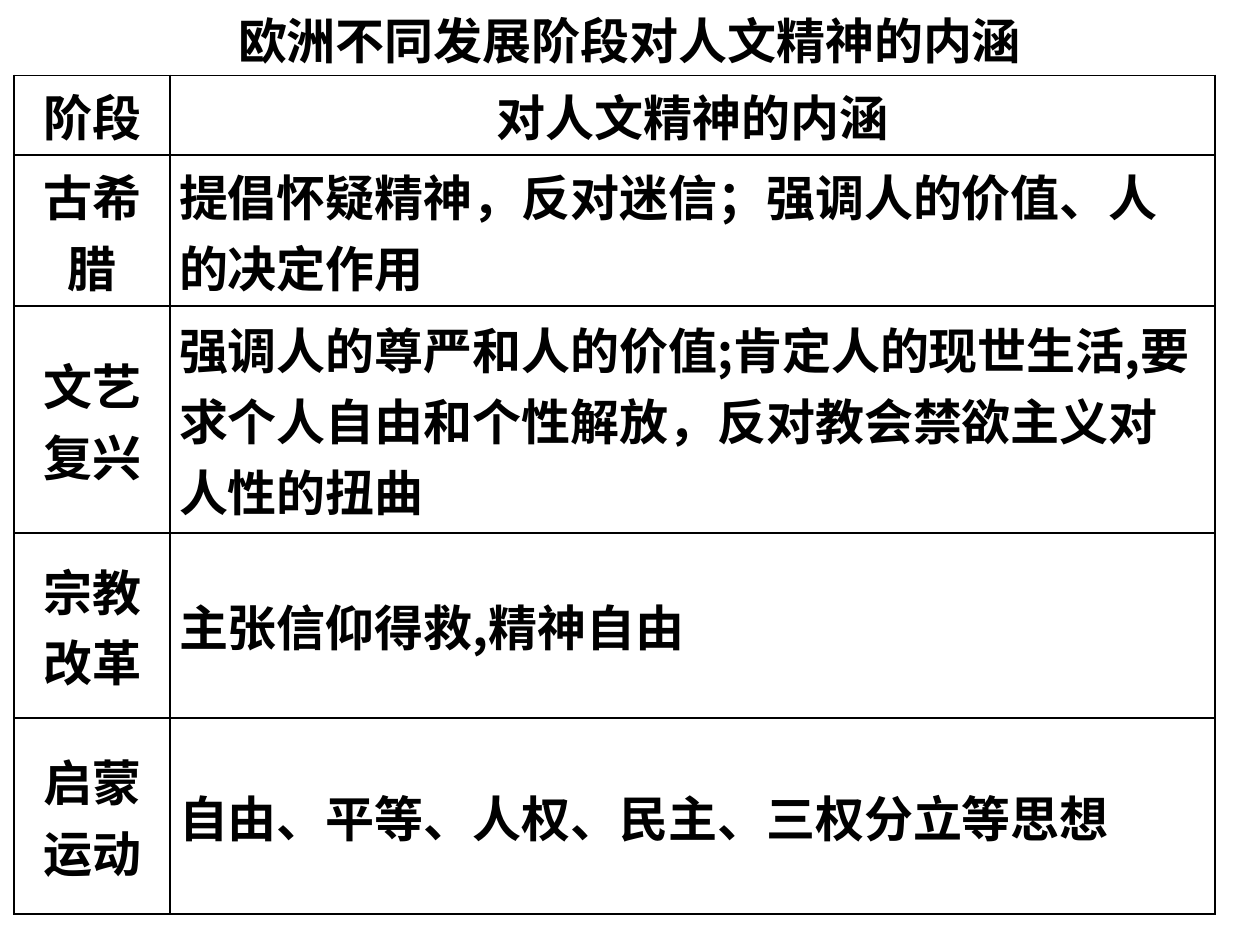
"""Build a slide with a table on the humanist spirit in stages of European history."""
from lxml import etree
from pptx import Presentation
from pptx import util as u
from pptx.dml.color import RGBColor
from pptx.enum import lang, text
from pptx.oxml import ns

COLOURS = {"text": "000000", "border": "000000", "background": "FFFFFF"}
CJK_FONT = "Noto Sans CJK SC"
FONT_FORMAT = {
    "size": u.Pt(28),
    "bold": True,
    "language_id": lang.MSO_LANGUAGE_ID.SIMPLIFIED_CHINESE,
}
CELL_FORMAT = {
    "margin_left": u.Cm(0.18),
    "margin_right": u.Cm(0.18),
    "margin_top": 0,
    "margin_bottom": 0,
    "vertical_anchor": text.MSO_ANCHOR.MIDDLE,
}
TITLE_FORMAT = {**CELL_FORMAT, "word_wrap": True}
TITLE_RUNS = [("欧洲不同发展阶段对人文精神的", "Arial"), ("内涵", CJK_FONT)]
COLUMN_WIDTHS = [3.15, 21.06]
ROWS = [
    (1.6, "阶段", "对人文精神的内涵"),
    (3.05, "古希腊", "提倡怀疑精神，反对迷信；强调人的价值、人的决定作用"),
    (4.57, "文艺复兴", "强调人的尊严和人的价值;肯定人的现世生活,要求个人自由和个性解放，反对教会禁欲主义对人性的扭曲"),
    (3.73, "宗教改革", "主张信仰得救,精神自由"),
    (3.96, "启蒙运动", "自由、平等、人权、民主、三权分立等思想"),
]


def add_run(paragraph, wording, font_name):
    run = paragraph.add_run()
    run.text = wording
    for name, value in FONT_FORMAT.items():
        setattr(run.font, name, value)
    run.font.name = font_name
    run.font.color.rgb = RGBColor.from_string(COLOURS["text"])
    etree.SubElement(run.font._element, ns.qn("a:ea"), typeface=CJK_FONT)


def add_borders(cell):
    properties = cell._tc.get_or_add_tcPr()
    for position, side in enumerate(("a:lnL", "a:lnR", "a:lnT", "a:lnB")):
        line = etree.Element(ns.qn(side), w=str(u.Pt(1)))
        fill = etree.SubElement(line, ns.qn("a:solidFill"))
        etree.SubElement(fill, ns.qn("a:srgbClr"), val=COLOURS["border"])
        properties.insert(position, line)


presentation = Presentation()
presentation.slide_width = u.Cm(25.4)
presentation.slide_height = u.Cm(19.05)
slide = presentation.slides.add_slide(presentation.slide_layouts[6])
slide.background.fill.solid()
slide.background.fill.fore_color.rgb = RGBColor.from_string(COLOURS["background"])

title = slide.shapes.add_textbox(u.Cm(0.23), u.Cm(0.08), u.Cm(24.92), u.Cm(1.45))
for name, value in TITLE_FORMAT.items():
    setattr(title.text_frame, name, value)
title_paragraph = title.text_frame.paragraphs[0]
title_paragraph.alignment = text.PP_ALIGN.CENTER
for wording, font_name in TITLE_RUNS:
    add_run(title_paragraph, wording, font_name)

table = slide.shapes.add_table(
    len(ROWS), len(COLUMN_WIDTHS), u.Cm(0.28), u.Cm(1.52),
    u.Cm(sum(COLUMN_WIDTHS)), u.Cm(sum(row[0] for row in ROWS)),
).table
table.first_row = False
table.horz_banding = False
for column, width in zip(table.columns, COLUMN_WIDTHS):
    column.width = u.Cm(width)

for row_index, (height, *wordings) in enumerate(ROWS):
    table.rows[row_index].height = u.Cm(height)
    for column_index, wording in enumerate(wordings):
        cell = table.cell(row_index, column_index)
        for name, value in CELL_FORMAT.items():
            setattr(cell, name, value)
        cell.fill.background()
        add_borders(cell)
        paragraph = cell.text_frame.paragraphs[0]
        centred = row_index == 0 or column_index == 0
        paragraph.alignment = text.PP_ALIGN.CENTER if centred else text.PP_ALIGN.LEFT
        add_run(paragraph, wording, CJK_FONT)

presentation.save("out.pptx")
